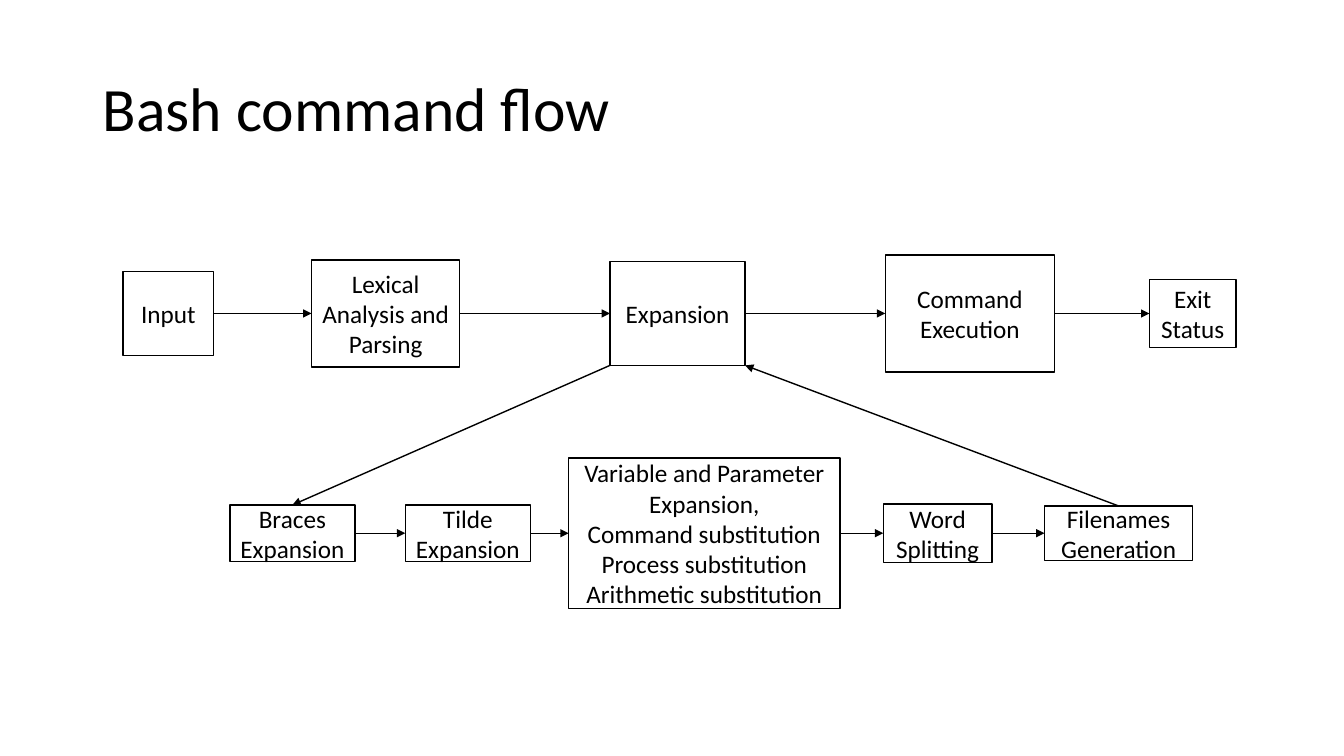
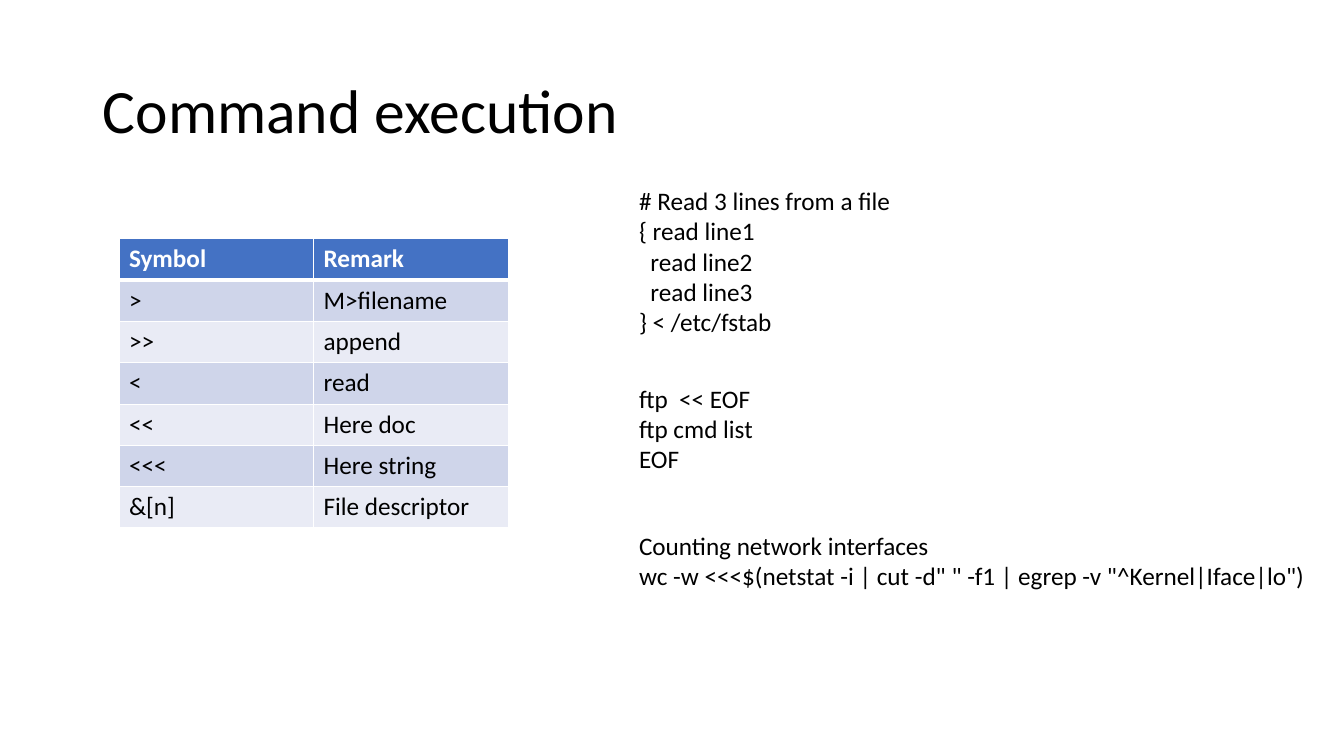
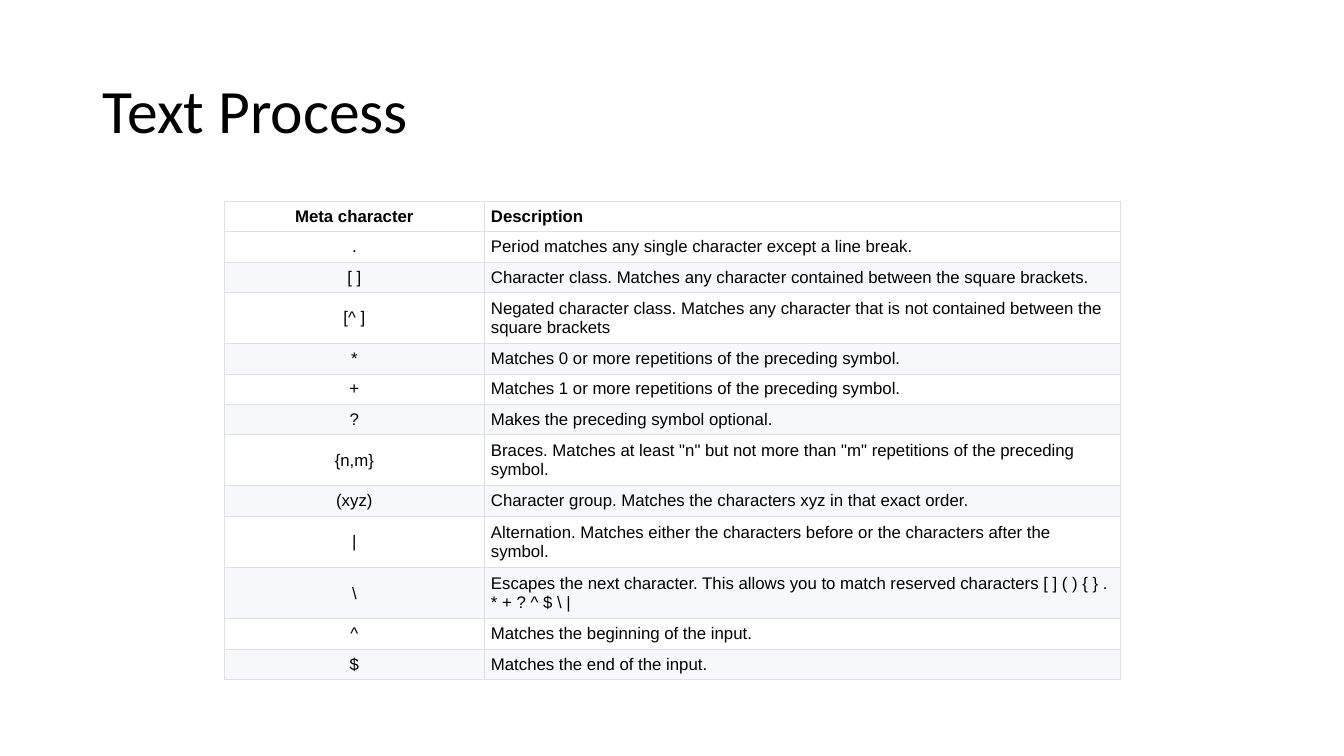
from dataclasses import dataclass
from itertools import pairwise

from lxml.etree import SubElement
from pptx import Presentation
from pptx.dml.color import RGBColor
from pptx.enum.shapes import MSO_CONNECTOR, MSO_SHAPE
from pptx.enum.text import MSO_ANCHOR, MSO_AUTO_SIZE, PP_ALIGN
from pptx.oxml.ns import qn
from pptx.util import Inches, Pt


@dataclass(frozen=True)
class Theme:
    """Colours, fonts and type sizes of the deck."""
    ink: str = "000000"
    paper: str = "FFFFFF"
    blue: str = "4472C4"
    bands: tuple = ("CFD5EA", "E9EBF5")
    pale: str = "F6F8FA"
    rule: str = "DFE2E5"
    sans: str = "Calibri"
    plain: str = "Arial"
    head: int = 44
    text: int = 18
    small: int = 12


THEME = Theme()
TOP, LEFT, RIGHT = 0, 1, 3

MAIN = [
    (0, 0.9, 0.83, ["Input"]),
    (1.87, 1.47, 1.06, ["Lexical Analysis and Parsing"]),
    (4.83, 1.34, 1.03, ["Expansion"]),
    (7.56, 1.68, 1.16, ["Command Execution"]),
    (10.18, 0.86, 0.68, ["Exit Status"]),
]
STEPS = [
    (1.06, 1.24, 0.56, ["Braces Expansion"]),
    (2.8, 1.24, 0.56, ["Tilde Expansion"]),
    (4.42, 2.69, 1.49, ["Variable and Parameter Expansion,", "Command substitution",
                        "Process substitution", "Arithmetic substitution"]),
    (7.54, 1.08, 0.58, ["Word Splitting"]),
    (9.14, 1.47, 0.54, ["Filenames", "Generation"]),
]
SIGNS = [
    ("Symbol", "Remark"),
    (">", "M>filename"),
    (">>", "append"),
    ("<", "read"),
    ("<<", "Here doc"),
    ("<<<", "Here string"),
    ("&[n]", "File descriptor"),
]
CODE = [
    (0, 2.92, 1.62, ["# Read 3 lines from a file", "{ read line1", "  read line2",
                     "  read line3", "} < /etc/fstab"]),
    (1.96, 2.98, 1.01, ["ftp  << EOF", "ftp cmd list", "EOF"]),
    (3.42, 6.9, 0.71, ["Counting network interfaces",
                       'wc -w <<<$(netstat -i | cut -d" " -f1 | egrep -v "^Kernel|Iface|lo")']),
]
META = [
    ("Meta character", "Description"),
    (".", "Period matches any single character except a line break."),
    ("[ ]", "Character class. Matches any character contained between the square brackets."),
    ("[^ ]", "Negated character class. Matches any character that is not contained "
             "between the square brackets"),
    ("*", "Matches 0 or more repetitions of the preceding symbol."),
    ("+", "Matches 1 or more repetitions of the preceding symbol."),
    ("?", "Makes the preceding symbol optional."),
    ("{n,m}", 'Braces. Matches at least "n" but not more than "m" repetitions of the '
              "preceding symbol."),
    ("(xyz)", "Character group. Matches the characters xyz in that exact order."),
    ("|", "Alternation. Matches either the characters before or the characters after the symbol."),
    ("\\", "Escapes the next character. This allows you to match reserved "
           "characters [ ] ( ) { } . * + ? ^ $ \\ |"),
    ("^", "Matches the beginning of the input."),
    ("$", "Matches the end of the input."),
]


def apply(item, vals):
    """Set each attribute named in vals."""
    for name, val in vals.items():
        setattr(item, name, val)


def rgb(code):
    """Turn a hex code into a colour."""
    return RGBColor.from_string(code)


def paint(fill, code):
    """Fill with one solid colour."""
    fill.solid()
    fill.fore_color.rgb = rgb(code)


def write(frame, lines, size=THEME.text, face=THEME.sans, ink=THEME.ink, bold=False, **para):
    """Write one paragraph per line with a shared look."""
    for num, line in enumerate(lines):
        part = frame.add_paragraph() if num else frame.paragraphs[0]
        apply(part, para)
        run = part.add_run()
        run.text = line
        apply(run.font, {"size": Pt(size), "name": face, "bold": bold})
        run.font.color.rgb = rgb(ink)


def start(deck, title, top=0.4):
    """Add a slide with its title."""
    slide = deck.slides.add_slide(deck.slide_layouts[5])
    head = slide.shapes.title
    apply(head, {"left": Inches(0.92), "top": Inches(top),
                 "width": Inches(11.5), "height": Inches(1.45)})
    apply(head.text_frame, {"vertical_anchor": MSO_ANCHOR.MIDDLE, "word_wrap": True,
                            "auto_size": MSO_AUTO_SIZE.NONE})
    write(head.text_frame, [title], THEME.head, alignment=PP_ALIGN.LEFT, line_spacing=0.9)
    return slide


def node(slide, left, mid, wide, high, lines):
    """Draw a flow step centred on the height mid."""
    box = slide.shapes.add_shape(MSO_SHAPE.RECTANGLE, Inches(left), Inches(mid - high / 2),
                                 Inches(wide), Inches(high))
    box.shadow.inherit = False
    paint(box.fill, THEME.paper)
    paint(box.line.fill, THEME.ink)
    box.line.width = Pt(1)
    apply(box.text_frame, {"word_wrap": True, "vertical_anchor": MSO_ANCHOR.MIDDLE,
                           "margin_left": Inches(0.05), "margin_right": Inches(0.05)})
    write(box.text_frame, lines, alignment=PP_ALIGN.CENTER)
    return box


def link(slide, tail=None, head=None, near=(0, 0), far=(0, 0)):
    """Draw an arrow between joined sides or free points."""
    line = slide.shapes.add_connector(MSO_CONNECTOR.STRAIGHT, *near, *far)
    if tail:
        line.begin_connect(*tail)
    if head:
        line.end_connect(*head)
    paint(line.line.fill, THEME.ink)
    line.line.width = Pt(1)
    SubElement(line.line._get_or_add_ln(), qn("a:tailEnd"), type="triangle")
    SubElement(line._element.spPr, qn("a:effectLst"))


def flow(slide, left, top):
    """Draw both rows of the flow and the arrows between them."""
    rows = []
    for mid, steps in ((0.58, MAIN), (2.76, STEPS)):
        row = [node(slide, left + x, top + mid, wide, high, lines)
               for x, wide, high, lines in steps]
        for one, two in pairwise(row):
            link(slide, (one, RIGHT), (two, LEFT))
        rows.append(row)
    main, steps = rows
    hub = main[2]
    base = hub.top + hub.height
    link(slide, head=(steps[0], TOP), near=(hub.left, base))
    link(slide, tail=(steps[-1], TOP), far=(hub.left + hub.width, base))


def edge(cell, code, sides):
    """Rule the sides of a cell, each with its width in points."""
    props = cell._tc.get_or_add_tcPr()
    for side, wide in sides.items():
        line = SubElement(props, qn(f"a:ln{side}"), w=str(Pt(wide)))
        fill = SubElement(line, qn("a:solidFill"))
        SubElement(fill, qn("a:srgbClr"), val=code)


def grid(slide, left, top, cols, highs, data, look):
    """Place a table; look(row, col) gives fill, rule, sides, cell and text formats."""
    table = slide.shapes.add_table(len(data), len(cols), Inches(left), Inches(top),
                                   Inches(sum(cols)), Inches(sum(highs))).table
    apply(table, {"first_row": False, "horz_banding": False})
    for col, wide in zip(table.columns, cols):
        col.width = Inches(wide)
    for row, high in zip(table.rows, highs):
        row.height = Inches(high)
    for y, texts in enumerate(data):
        for x, text in enumerate(texts):
            cell = table.cell(y, x)
            fill, rule, sides, form, font = look(y, x)
            apply(cell, form)
            edge(cell, rule, sides)
            paint(cell.fill, fill)
            write(cell.text_frame, [text], **font)


def band(row, col):
    """Give the look of a cell in the symbol table."""
    head = row == 0
    fill = THEME.blue if head else THEME.bands[(row - 1) % 2]
    sides = {"L": 1, "R": 1, "T": 3 if row == 1 else 1, "B": 3 if head else 1}
    return fill, THEME.paper, sides, {}, {"ink": THEME.paper if head else THEME.ink, "bold": head}


def ruled(row, col):
    """Give the look of a cell in the meta character table."""
    fill = THEME.pale if row and row % 2 == 0 else THEME.paper
    form = {"vertical_anchor": MSO_ANCHOR.MIDDLE,
            "margin_left": Inches(0.07), "margin_right": Inches(0.07),
            "margin_top": Inches(0.03), "margin_bottom": Inches(0.03)}
    font = {"size": THEME.small, "face": THEME.plain, "bold": row == 0,
            "alignment": PP_ALIGN.LEFT if col else PP_ALIGN.CENTER}
    return fill, THEME.rule, dict.fromkeys("LRTB", 0.6), form, font


def code(slide, left, top):
    """Stack the code samples below one another."""
    for y, wide, high, lines in CODE:
        box = slide.shapes.add_textbox(Inches(left), Inches(top + y), Inches(wide), Inches(high))
        box.text_frame.word_wrap = True
        write(box.text_frame, lines)


def main():
    """Build and save the deck."""
    deck = Presentation()
    apply(deck, {"slide_width": Inches(13.33), "slide_height": Inches(7.5)})
    flow(start(deck, "Bash command flow", 0.38), 1.22, 2.53)
    slide = start(deck, "Command execution")
    grid(slide, 1.18, 2.37, [1.93] * 2, [0.41] * len(SIGNS), SIGNS, band)
    code(slide, 6.24, 1.79)
    highs = [0.51 if len(text) > 80 else 0.3 for _, text in META]
    grid(start(deck, "Text Process"), 2.23, 2, [2.57, 6.31], highs, META, ruled)
    deck.save("out.pptx")


if __name__ == "__main__":
    main()
